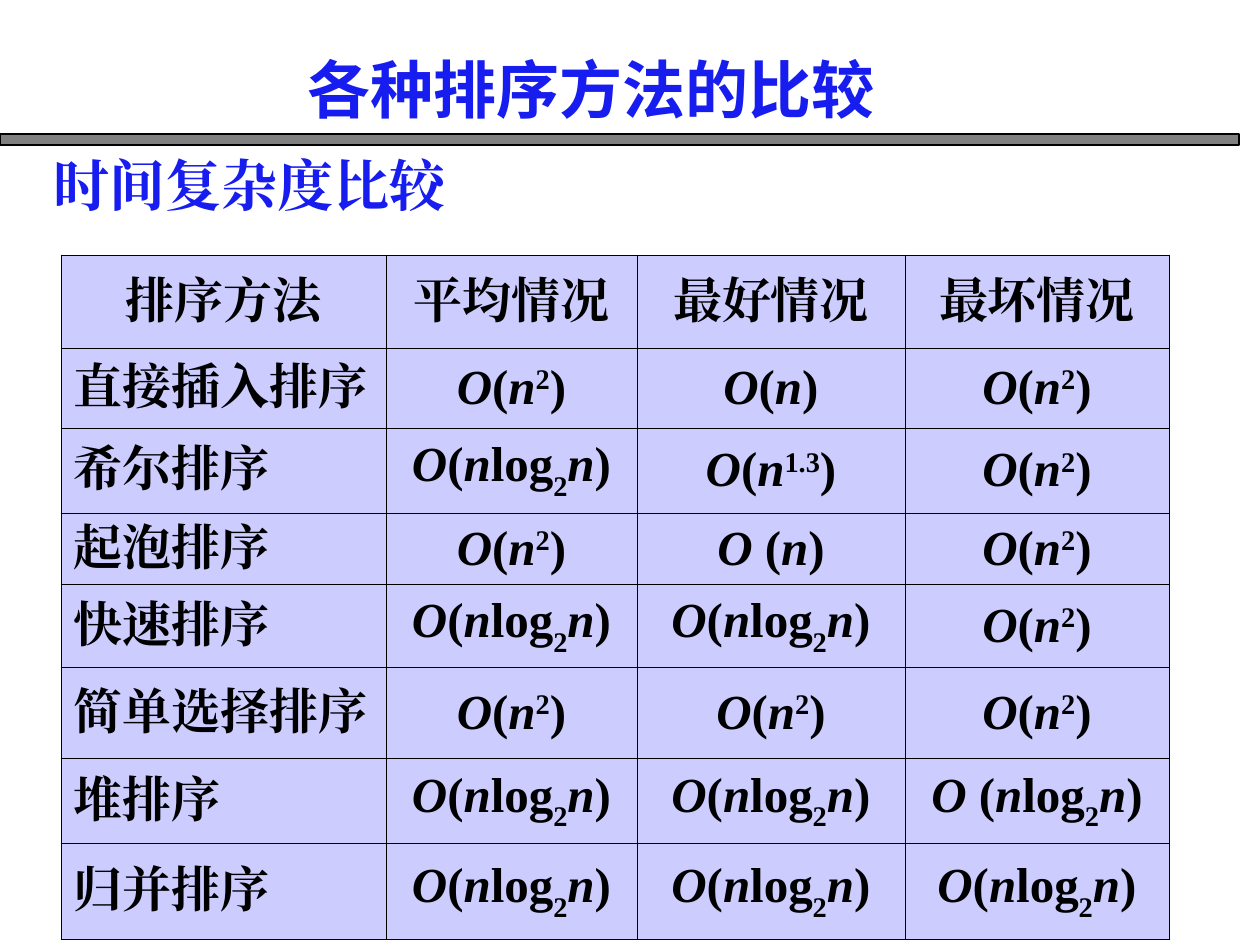
import pptx
import pptx.util
import pptx.dml.color
import pptx.enum.shapes
import pptx.enum.text
import pptx.oxml.ns
from lxml import etree
from dataclasses import dataclass

PX = 914400 / 126  # EMU per px


@dataclass(frozen=True)
class Theme:
    latin: str = "Times New Roman"
    cjk: str = "Noto Sans CJK SC"
    blue: str = "171CEF"
    black: str = "000000"
    bar: str = "808080"
    cell: str = "CCCCFF"
    title_size: int = 36
    subtitle_size: int = 32
    table_size: int = 28
    bar_line: float = 0.75
    grid_line: float = 0.45


THEME = Theme()
ITALIC, PLAIN, RAISED, LOWERED = "italic", "plain", "raised", "lowered"
BASELINES = {RAISED: "30000", LOWERED: "-30000"}


def big_o(*argument, head="O"):
    return [(head, ITALIC), ("(", PLAIN), *argument, (")", PLAIN)]


N = ("n", ITALIC)
N_LOG_N = (N, ("log", PLAIN), ("2", LOWERED), N)
LINEAR = big_o(N)
SQUARE = big_o(N, ("2", RAISED))
LOG = big_o(*N_LOG_N)

TITLE = "各种排序方法的比较"
SUBTITLE = "时间复杂度比较"
HEADER = ["排序方法", "平均情况", "最好情况", "最坏情况"]
METHODS = [
    ("直接插入排序", SQUARE, LINEAR, SQUARE),
    ("希尔排序", LOG, big_o(N, ("1.3", RAISED)), SQUARE),
    ("起泡排序", SQUARE, big_o(N, head="O "), SQUARE),
    ("快速排序", LOG, LOG, SQUARE),
    ("简单选择排序", SQUARE, SQUARE, SQUARE),
    ("堆排序", LOG, LOG, big_o(*N_LOG_N, head="O ")),
    ("归并排序", LOG, LOG, LOG),
]
COLUMN_WIDTHS = [325, 251, 268, 264]
ROW_HEIGHTS = [93, 80, 85, 71, 83, 91, 85, 96]


def px(length):
    return pptx.util.Emu(round(length * PX))


def rgb(code):
    return pptx.dml.color.RGBColor.from_string(code)


def add_child(parent, tag, **attributes):
    return etree.SubElement(parent, pptx.oxml.ns.qn(tag), attributes)


def set_font(paragraph, name, size, colour):
    """Set one bold font for Latin and East Asian text alike."""
    font = paragraph.font
    font.name, font.size, font.bold = name, pptx.util.Pt(size), True
    font.color.rgb = rgb(colour)
    defaults = paragraph._p.pPr.find(pptx.oxml.ns.qn("a:defRPr"))
    add_child(defaults, "a:ea", typeface=name)


def add_heading(page, text, place, name, size, space_before):
    box = page.shapes.add_textbox(*map(px, place))
    box.text_frame.word_wrap = True
    para = box.text_frame.paragraphs[0]
    para.text = text
    para.space_before = pptx.util.Pt(space_before)
    set_font(para, name, size, THEME.blue)


def add_bar(page):
    bar = page.shapes.add_shape(pptx.enum.shapes.MSO_SHAPE.RECTANGLE,
                                *map(px, (0, 134, 1239, 11)))
    bar.shadow.inherit = False
    bar.fill.solid()
    bar.fill.fore_color.rgb = rgb(THEME.bar)
    bar.line.color.rgb = rgb(THEME.black)
    bar.line.width = pptx.util.Pt(THEME.bar_line)


def set_borders(cell):
    properties = cell._tc.get_or_add_tcPr()
    for side in ("a:lnL", "a:lnR", "a:lnT", "a:lnB"):
        line = add_child(properties, side, w=str(pptx.util.Pt(THEME.grid_line)))
        add_child(add_child(line, "a:solidFill"), "a:srgbClr", val=THEME.black)


def fill_cell(cell, content, centred):
    set_borders(cell)
    cell.fill.solid()
    cell.fill.fore_color.rgb = rgb(THEME.cell)
    cell.vertical_anchor = pptx.enum.text.MSO_ANCHOR.MIDDLE
    para = cell.text_frame.paragraphs[0]
    align = pptx.enum.text.PP_ALIGN
    para.alignment = align.CENTER if centred else align.LEFT
    set_font(para, THEME.latin, THEME.table_size, THEME.black)
    spans = [(content, PLAIN)] if isinstance(content, str) else content
    for text, style in spans:
        span = para.add_run()
        span.text = text
        if style == ITALIC:
            span.font.italic = True
        elif style in BASELINES:
            span._r.get_or_add_rPr().set("baseline", BASELINES[style])


def add_comparison(page):
    rows = [HEADER, *METHODS]
    place = (61, 255, sum(COLUMN_WIDTHS), sum(ROW_HEIGHTS))
    table = page.shapes.add_table(len(rows), len(HEADER), *map(px, place)).table
    for column, width in zip(table.columns, COLUMN_WIDTHS):
        column.width = px(width)
    for row, height in zip(table.rows, ROW_HEIGHTS):
        row.height = px(height)
    for r, row in enumerate(rows):
        for c, content in enumerate(row):
            fill_cell(table.cell(r, c), content, centred=r == 0 or c > 0)


def main():
    deck = pptx.Presentation()
    deck.slide_width, deck.slide_height = px(1260), px(945)
    page = deck.slides.add_slide(deck.slide_layouts[6])
    add_bar(page)
    add_heading(page, SUBTITLE, (41, 144, 521, 81), THEME.latin,
                THEME.subtitle_size, 20)
    add_heading(page, TITLE, (295, 44, 658, 88), THEME.cjk,
                THEME.title_size, 22.5)
    add_comparison(page)
    deck.save("out.pptx")


if __name__ == "__main__":
    main()
